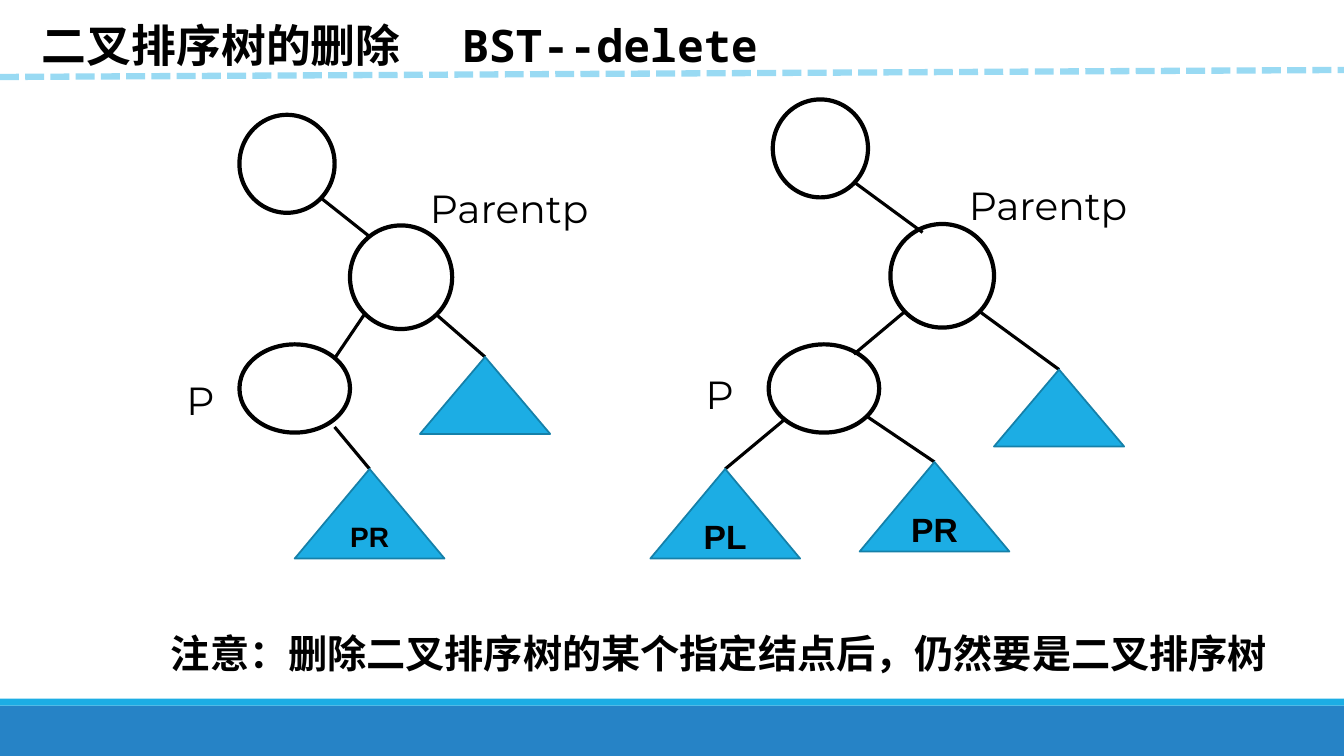
from lxml import etree
from pptx import Presentation
from pptx import util as u
from pptx.dml.color import RGBColor
from pptx.enum import dml, shapes, text
from pptx.oxml.ns import qn

Pt = u.Pt
COLOURS = {
    "black": "000000", "white": "FFFFFF", "band": "2683C6",
    "sky": "1CADE4", "edge": "1580A9", "dash": "99DAF3",
}
CJK, MONO, SANS, BOLD = "Noto Sans CJK SC", "Noto Sans Mono", "Montserrat", "Arial"

presentation = Presentation()
presentation.slide_width, presentation.slide_height = Pt(960), Pt(540)
slide = presentation.slides.add_slide(presentation.slide_layouts[5])


def write(shape, runs, size, bold=False, align="LEFT", anchor="TOP", inset=7.2, tab=None):
    """Fill a shape with one paragraph made of (text, font name) runs."""
    frame = shape.text_frame
    frame.word_wrap = True
    frame.auto_size = text.MSO_AUTO_SIZE.NONE
    frame.vertical_anchor = text.MSO_ANCHOR[anchor]
    frame.margin_left = Pt(inset)
    paragraph = frame.paragraphs[0]
    paragraph.alignment = text.PP_ALIGN[align]
    if tab:
        stops = etree.SubElement(paragraph._p.get_or_add_pPr(), qn("a:tabLst"))
        etree.SubElement(stops, qn("a:tab"), pos=str(Pt(tab)), algn="l")
    for words, name in runs:
        run = paragraph.add_run()
        run.text = words
        run.font.size, run.font.bold, run.font.name = Pt(size), bold, name
        run.font.color.rgb = RGBColor.from_string(COLOURS["black"])
        etree.SubElement(run._r.get_or_add_rPr(), qn("a:ea"), typeface=name)


def draw(kind, box, fill=None, line=None, width=1):
    """Add a preset shape, or a straight line when kind is LINE (box holds its ends)."""
    if kind == "LINE":
        shape = slide.shapes.add_connector(shapes.MSO_CONNECTOR.STRAIGHT, *map(Pt, box))
        etree.SubElement(shape._element.spPr, qn("a:effectLst"))
    else:
        shape = slide.shapes.add_shape(shapes.MSO_SHAPE[kind], *map(Pt, box))
        shape.shadow.inherit = False
        if fill:
            shape.fill.solid()
            shape.fill.fore_color.rgb = RGBColor.from_string(COLOURS[fill])
        else:
            shape.fill.background()
    if line:
        shape.line.color.rgb = RGBColor.from_string(COLOURS[line])
        shape.line.width = Pt(width)
    else:
        shape.line.fill.background()
    return shape


# Footer bands and title
draw("RECTANGLE", (0, 504, 960, 36), "band")
draw("RECTANGLE", (0, 499, 960, 5), "sky")

title = slide.shapes.title
title.left, title.top, title.width, title.height = Pt(15), Pt(9), Pt(601), Pt(46)
write(title, [("二叉排序树的删除\t", CJK), ("BST--delete", MONO)], 32, bold=True, inset=15, tab=300)
divider = draw("LINE", (0, 55, 960, 50), line="dash", width=4.5)
divider.line.dash_style = dml.MSO_LINE.SQUARE_DOT
divider.line._ln.find(qn("a:prstDash")).set("val", "sysDash")

# Each tree: labels, nodes, edges between nodes, and subtrees hanging from an edge
trees = [
    {
        "labels": [("Parentp", 300, 128, 151), ("P", 126, 265, 41)],
        "nodes": [(171, 82, 68, 70), (250, 161, 73, 74), (171, 246, 79, 63)],
        "edges": [(230, 142, 264, 169), (260, 225, 239, 256)],
        "subtrees": [
            ("PR", 20, (239, 305), (264, 335), (107, 64)),
            ("", 0, (312, 225), (346.5, 255), (93, 55)),
        ],
    },
    {
        "labels": [("Parentp", 685, 126, 147), ("P", 497, 261, 41)],
        "nodes": [(552, 71, 68, 70), (636, 160, 74, 74), (549, 246, 79, 63)],
        "edges": [(610, 130, 659, 166), (647, 222, 610, 253)],
        "subtrees": [
            ("PL", 24, (560, 300), (518, 335), (107, 64)),
            ("PR", 24, (620, 298), (667.5, 330), (107, 64)),
            ("", 0, (699, 222), (756.5, 264), (93, 55)),
        ],
    },
]
for tree in trees:
    for words, left, top, width in tree["labels"]:
        write(draw("RECTANGLE", (left, top, width, 41), "white"), [(words, SANS)], 28)
    for node in tree["nodes"]:
        draw("OVAL", node, line="black", width=3)
    for edge in tree["edges"]:
        draw("LINE", edge, line="black", width=2.25)
    for words, size, start, apex, (width, height) in tree["subtrees"]:
        draw("LINE", start + apex, line="black", width=2.25)
        box = (apex[0] - width / 2, apex[1], width, height)
        triangle = draw("ISOSCELES_TRIANGLE", box, "sky", "edge", 1.25)
        if words:
            write(triangle, [(words, BOLD)], size, bold=True, align="CENTER", anchor="MIDDLE")

note = slide.shapes.add_textbox(Pt(115), Pt(446), Pt(839), Pt(41))
write(note, [("注意：删除二叉排序树的某个指定结点后，仍然要是二叉排序树", CJK)], 28, bold=True)

presentation.save("out.pptx")
